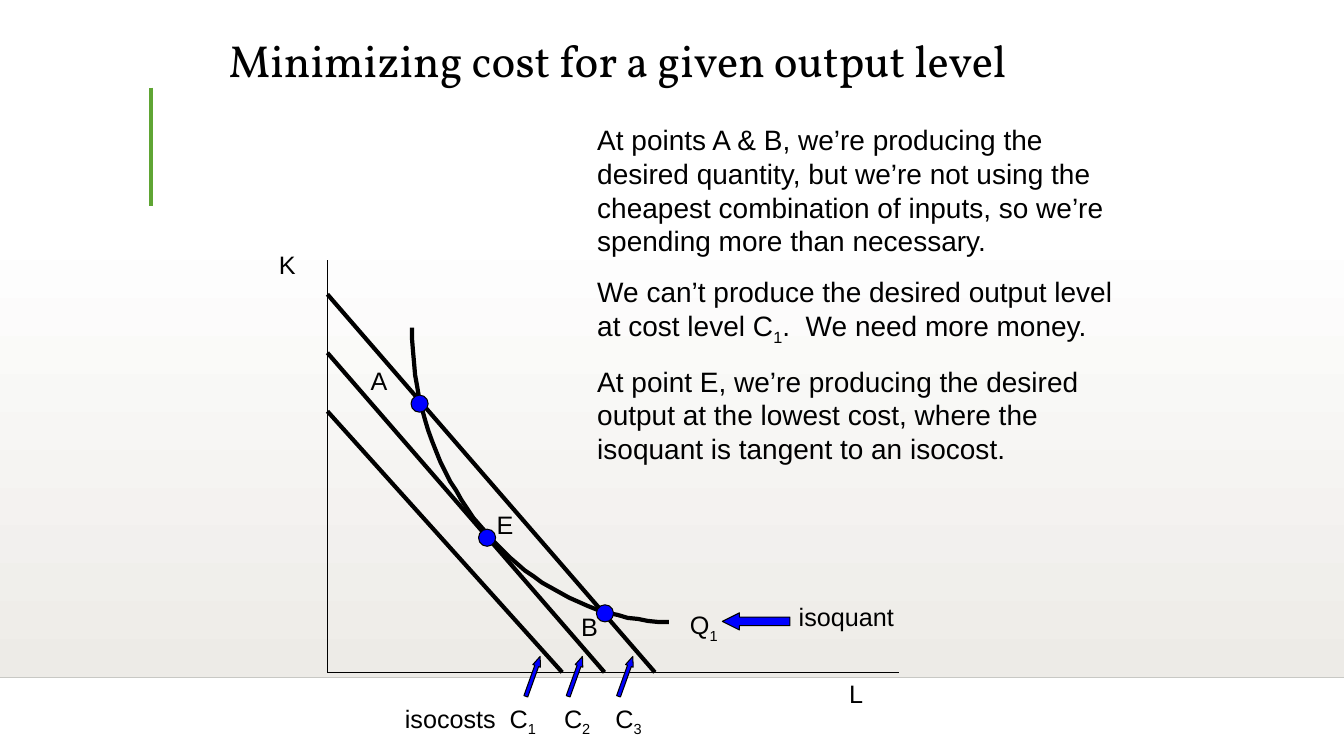
"""Builds the slide on minimizing cost for a given output level."""
from lxml import etree
from pptx import Presentation
from pptx import util as u
from pptx.dml.color import RGBColor
from pptx.enum import shapes, text
from pptx.oxml.ns import qn

PX = 9144
BLACK = RGBColor(0x00, 0x00, 0x00)
BLUE = RGBColor(0x00, 0x00, 0xFF)
GREEN = RGBColor(0x5F, 0xA5, 0x34)
WHITE = RGBColor(0xFF, 0xFF, 0xFF)
SAND = RGBColor(0xED, 0xEB, 0xE7)
GRAY = RGBColor(0xC8, 0xC8, 0xC4)

deck = Presentation()
deck.slide_width, deck.slide_height = 1334 * PX, 750 * PX
slide = deck.slides.add_slide(deck.slide_layouts[5])
title = slide.shapes.title


def write(shape, *lines, size=18, font="Arial", gap=0, tabs=(), anchor=text.MSO_ANCHOR.TOP):
    """Fill a shape with paragraphs; an underscore makes the next letter a subscript."""
    frame = shape.text_frame
    frame.word_wrap = True
    frame.auto_size = text.MSO_AUTO_SIZE.NONE
    frame.vertical_anchor = anchor
    for i, line in enumerate(lines):
        para = frame.add_paragraph() if i else frame.paragraphs[0]
        para.alignment = text.PP_ALIGN.LEFT
        para.space_before = u.Pt(gap if i else 0)
        if tabs:
            stops = etree.SubElement(para._p.get_or_add_pPr(), qn("a:tabLst"))
            for pos in tabs:
                etree.SubElement(stops, qn("a:tab"), pos=str(pos * PX), algn="l")
        head, *tails = line.split("_")
        parts = [(head, False)]
        for tail in tails:
            parts += [(tail[0], True), (tail[1:], False)]
        for part, low in parts:
            if part:
                run = para.add_run()
                run.text = part
                run.font.size, run.font.name = u.Pt(size), font
                run.font.color.rgb = BLACK
                if low:
                    run._r.get_or_add_rPr().set("baseline", "-25000")


def draw(kind, x, y, w, h):
    """Add a blue preset shape with a thin black outline."""
    shape = slide.shapes.add_shape(kind, x * PX, y * PX, w * PX, h * PX)
    shape.shadow.inherit = False
    shape.fill.solid()
    shape.fill.fore_color.rgb = BLUE
    shape.line.color.rgb = BLACK
    shape.line.width = u.Pt(0.75)
    return shape


floor = draw(shapes.MSO_SHAPE.RECTANGLE, 0, 220, 1334, 452)
floor.line.fill.background()
floor.fill.gradient()
floor.fill.gradient_angle = 270
for stop, color, pos in zip(floor.fill.gradient_stops, (WHITE, SAND), (0, 1)):
    stop.color.rgb, stop.position = color, pos

title.left, title.top, title.width, title.height = 217 * PX, 25 * PX, 925 * PX, 67 * PX
write(title, "Minimizing cost for a given output level", size=32, font="Vollkorn",
      anchor=text.MSO_ANCHOR.BOTTOM)
title.text_frame.paragraphs[0].line_spacing = 0.9

for x1, y1, x2, y2, color, width in (
    (0, 672, 1334, 672, GRAY, 1),
    (150, 87, 150, 204, GREEN, 3),
    (325, 258, 325, 667, BLACK, 0.75),
    (325, 667, 892, 667, BLACK, 0.75),
    (325, 408, 558, 667, BLACK, 3),
    (325, 350, 600, 667, BLACK, 3),
    (325, 292, 650, 667, BLACK, 3),
):
    line = slide.shapes.add_connector(
        shapes.MSO_CONNECTOR.STRAIGHT, x1 * PX, y1 * PX, x2 * PX, y2 * PX)
    line.line.color.rgb, line.line.width = color, u.Pt(width)
    etree.SubElement(line._element.spPr, qn("a:effectLst"))

ends = (664, 617), (523, 615), (409, 485), (409, 325)
steps = 40
curve = []
for i in range(steps + 1):
    t = i / steps
    parts = (1 - t) ** 3, 3 * t * (1 - t) ** 2, 3 * t * t * (1 - t), t ** 3
    curve.append(tuple(sum(k * p[axis] for k, p in zip(parts, ends)) for axis in (0, 1)))
pen = slide.shapes.build_freeform(*curve[0], scale=PX)
pen.add_line_segments(curve[1:], close=False)
quant = pen.convert_to_shape()
quant.shadow.inherit = False
quant.fill.background()
quant.line.color.rgb, quant.line.width = BLACK, u.Pt(3)

for x, y in (408, 392), (475, 525), (592, 600):
    draw(shapes.MSO_SHAPE.OVAL, x, y, 17, 17)

for x, y, w, h, turn, tip in (
    (508, 667, 42, 8, 109.7, 1.25),
    (550, 667, 42, 8, 109.7, 1.25),
    (600, 667, 42, 8, 109.7, 1.25),
    (717, 608, 67, 17, 0, 1),
):
    arrow = draw(shapes.MSO_SHAPE.LEFT_ARROW, x, y, w, h)
    arrow.rotation = turn
    arrow.adjustments[0], arrow.adjustments[1] = 0.5, tip

notes = (
    "At points A & B, we’re producing the desired quantity, but we’re not using the "
    "cheapest combination of inputs, so we’re spending more than necessary.",
    "We can’t produce the desired output level at cost level C_1.  We need more money.",
    "At point E, we’re producing the desired output at the lowest cost, where the "
    "isoquant is tangent to an isocost.",
)
for x, y, w, h, lines, style in (
    (267, 242, 58, 40, ["K"], {}),
    (833, 668, 58, 40, ["L"], {}),
    (358, 358, 58, 40, ["A"], {}),
    (567, 602, 58, 40, ["B"], {}),
    (483, 500, 58, 40, ["E"], {}),
    (675, 600, 58, 44, ["Q_1"], {}),
    (783, 592, 133, 40, ["isoquant"], {}),
    (392, 693, 275, 44, ["isocosts\tC_1\tC_2\tC_3"], {"tabs": (104, 158, 209)}),
    (583, 117, 533, 350, notes, {"size": 20, "gap": 12.5}),
):
    box = slide.shapes.add_textbox(x * PX, y * PX, w * PX, h * PX)
    write(box, *lines, **style)

deck.save("out.pptx")
